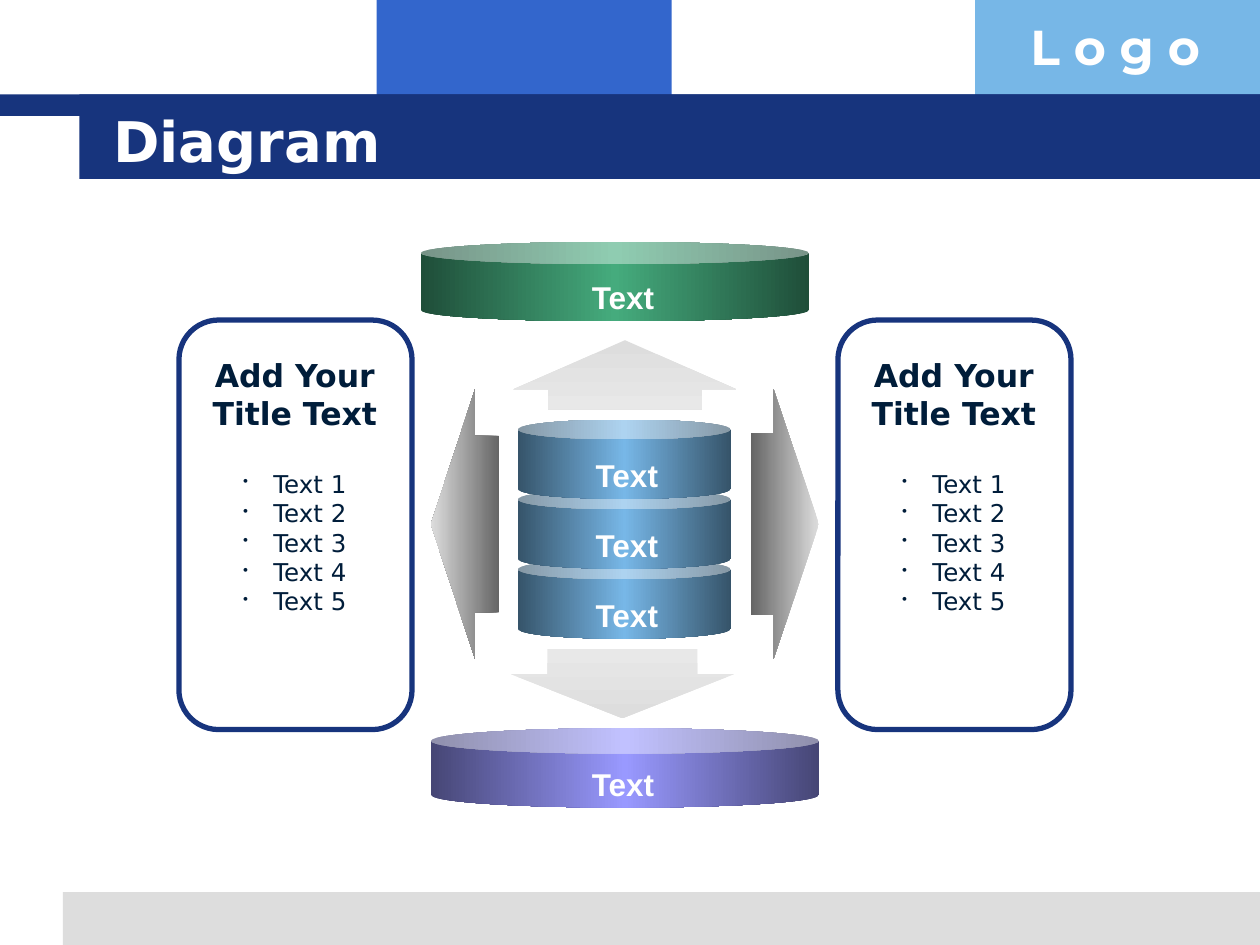
import pptx
import pptx.util
import pptx.dml.color
import pptx.enum.shapes
import pptx.enum.text
import pptx.oxml
import pptx.oxml.ns

Pt = pptx.util.Pt
RGBColor = pptx.dml.color.RGBColor
MSO_SHAPE = pptx.enum.shapes.MSO_SHAPE
PP_ALIGN = pptx.enum.text.PP_ALIGN
MSO_ANCHOR = pptx.enum.text.MSO_ANCHOR

COLS, ROWS = 100, 75
UNIT = pptx.util.Inches(0.1)
NS = pptx.oxml.ns.nsdecls("a")

WHITE = RGBColor(0xFF, 0xFF, 0xFF)
NAVY = RGBColor(0x17, 0x34, 0x7D)
INK = RGBColor(0x00, 0x1D, 0x3A)
BLUE = RGBColor(0x33, 0x66, 0xCC)
SKY = RGBColor(0x77, 0xB7, 0xE7)
SKY_DARK = RGBColor(0x36, 0x54, 0x6A)
GREEN = RGBColor(0x45, 0xAB, 0x7D)
GREEN_DARK = RGBColor(0x1F, 0x4E, 0x39)
VIOLET = RGBColor(0x99, 0x99, 0xFF)
VIOLET_DARK = RGBColor(0x46, 0x46, 0x75)
GREY = RGBColor(0xDD, 0xDD, 0xDD)
GREY_LIGHT = RGBColor(0xE8, 0xE8, 0xE8)
GREY_DARK = RGBColor(0x65, 0x65, 0x65)


def grid(*cells):
    return [round(c * UNIT) for c in cells]


def add_shape(s, kind, cells, fill=None):
    sp = s.shapes.add_shape(kind, *grid(*cells))
    sp.shadow.inherit = False
    sp.line.fill.background()
    if fill is None:
        sp.fill.background()
    else:
        sp.fill.solid()
        sp.fill.fore_color.rgb = fill
    return sp


def set_gradient(sp, colors, angle):
    last = len(colors) - 1
    stops = "".join(
        f'<a:gs pos="{100000 * i // last}"><a:srgbClr val="{c}"/></a:gs>'
        for i, c in enumerate(colors))
    sp.fill.background()
    old = sp._element.spPr.find(pptx.oxml.ns.qn("a:noFill"))
    new = pptx.oxml.parse_xml(
        f'<a:gradFill {NS} rotWithShape="1"><a:gsLst>{stops}</a:gsLst>'
        f'<a:lin ang="{angle * 60000}" scaled="0"/></a:gradFill>')
    sp._element.spPr.replace(old, new)


def add_box(s, cells, wrap=True, anchor=MSO_ANCHOR.TOP):
    tf = s.shapes.add_textbox(*grid(*cells)).text_frame
    tf.word_wrap = wrap
    tf.vertical_anchor = anchor
    return tf


def add_run(p, text, size, font, color, bold=True):
    r = p.add_run()
    r.text = text
    r.font.size = Pt(size)
    r.font.name = font
    r.font.bold = bold
    r.font.color.rgb = color


def add_label(s, x, y):
    p = add_box(s, (x, y, 7.1, 4), wrap=False).paragraphs[0]
    p.alignment = PP_ALIGN.CENTER
    add_run(p, "Text", 18, "Arial", WHITE)


def add_can(s, cells, adj, dark, light):
    sp = add_shape(s, MSO_SHAPE.CAN, cells)
    sp.adjustments[0] = adj
    set_gradient(sp, [dark, light, dark], 180)


def add_arrow(s, along, centre, half_tail, half_head, colors, vertical):
    tail, neck, tip = along
    half = [(tail, half_tail), (neck, half_tail), (neck, half_head)]
    pts = [(a, centre - h) for a, h in half] + [(tip, centre)]
    pts += [(a, centre + h) for a, h in reversed(half)]
    if vertical:
        pts = [(b, a) for a, b in pts]
    pts = [grid(*pt) for pt in pts]
    fb = s.shapes.build_freeform(*pts[0])
    fb.add_line_segments(pts[1:], close=True)
    sp = fb.convert_to_shape()
    sp.shadow.inherit = False
    sp.line.fill.background()
    set_gradient(sp, colors, 90 if vertical else 180)


def add_bullet(p):
    pPr = p._p.get_or_add_pPr()
    indent = grid(2.4)[0]
    pPr.set("marL", str(indent))
    pPr.set("indent", str(-indent))
    for xml in (f'<a:buClr {NS}><a:srgbClr val="{INK}"/></a:buClr>',
                f'<a:buSzPct {NS} val="60000"/>',
                f'<a:buChar {NS} char="•"/>'):
        pPr.append(pptx.oxml.parse_xml(xml))


def add_panel(s, x):
    sp = add_shape(s, MSO_SHAPE.ROUNDED_RECTANGLE, (x, 25.4, 18.5, 32.5))
    sp.adjustments[0] = 0.17
    sp.line.color.rgb = NAVY
    sp.line.width = Pt(3)
    tf = add_box(s, (x + 0.75, 27.8, 16.9, 21.7))
    titles = ["Add Your", "Title Text"]
    items = [f"Text {n}" for n in range(1, 6)]
    for i, text in enumerate(titles + items):
        p = tf.add_paragraph() if i else tf.paragraphs[0]
        p.alignment = PP_ALIGN.CENTER
        title = i < len(titles)
        if i == len(titles):
            p.space_before = Pt(21)
        if not title:
            add_bullet(p)
        add_run(p, text, 18 if title else 14, "DejaVu Sans", INK, title)


def add_frame(s):
    for cells, fill in (((29.9, 0, 23.4, 9.2), BLUE),
                        ((77.4, 0, 22.6, 9.2), SKY),
                        ((5, 70.8, 95, 4.2), GREY),
                        ((0, 7.5, 100, 1.7), NAVY),
                        ((6.3, 7.5, 93.7, 6.7), NAVY)):
        add_shape(s, MSO_SHAPE.RECTANGLE, cells, fill)
    tf = add_box(s, (80.8, 0.8, 19.2, 5.7))
    add_run(tf.paragraphs[0], "L o g o", 28, "Montserrat", WHITE)
    tf = add_box(s, (8, 8, 85.3, 6.2), anchor=MSO_ANCHOR.MIDDLE)
    add_run(tf.paragraphs[0], "Diagram", 32, "DejaVu Sans", WHITE)


def main():
    prs = pptx.Presentation()
    prs.slide_width, prs.slide_height = grid(COLS, ROWS)
    s = prs.slides.add_slide(prs.slide_layouts[6])
    add_frame(s)

    levels = [33.3 + 5.55 * i for i in range(3)]
    for y in reversed(levels):
        add_can(s, (41.1, y, 16.9, 6.3), 0.25, SKY_DARK, SKY)
    for y in levels:
        add_label(s, 46.2, y + 2.4)

    for x in (14.2, 66.5):
        add_panel(s, x)

    add_arrow(s, (39.6, 37.7, 34.2), 41.6, 7, 10.7, [GREY_DARK, GREY], False)
    add_arrow(s, (59.6, 61.4, 65), 41.6, 7.2, 10.7, [GREY, GREY_DARK], False)
    add_arrow(s, (32.5, 30.9, 27), 49.6, 6.1, 8.85, [GREY, GREY_LIGHT], True)
    add_arrow(s, (51.5, 53.5, 57), 49.4, 5.95, 8.85, [GREY_LIGHT, GREY], True)

    for x, y, adj, dark, light in ((33.4, 19.2, 0.28, GREEN_DARK, GREEN),
                                   (34.2, 57.8, 0.32, VIOLET_DARK, VIOLET)):
        add_can(s, (x, y, 30.8, 6.3), adj, dark, light)
        add_label(s, 45.9, y + 2.4)

    prs.save("out.pptx")


if __name__ == "__main__":
    main()
